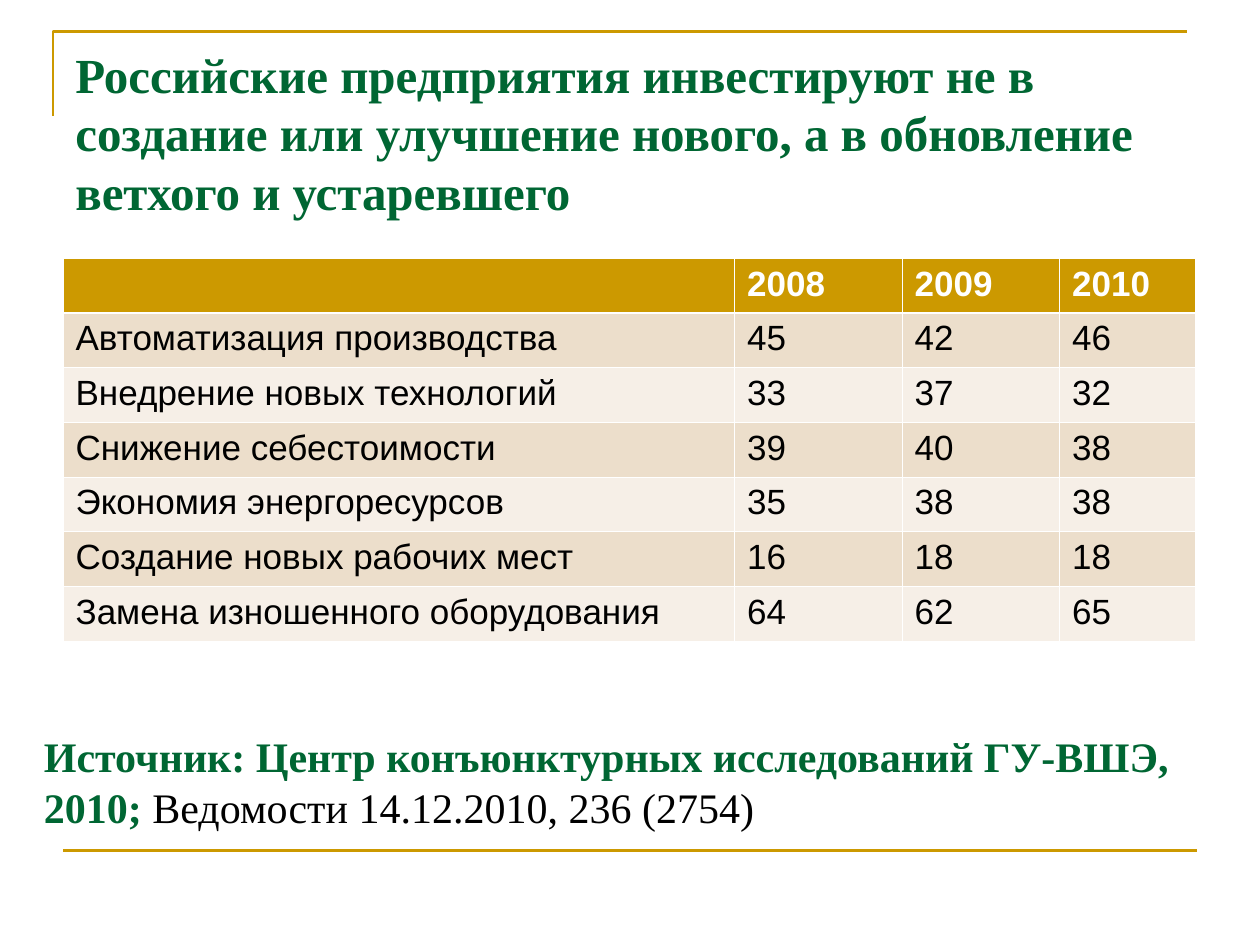
from lxml import etree
from pptx import Presentation
from pptx import util as u
from pptx.dml.color import RGBColor
from pptx.enum import shapes, text
from pptx.oxml.ns import qn

COLORS = {"gold": "CC9900", "green": "006633", "black": "000000",
          "white": "FFFFFF", "band": "ECDECB", "light": "F6EFE7"}
SERIF, SANS = "Times New Roman", "Arial"
WIDTH, HEIGHT = 10, 7.5
MARGIN = WIDTH / 20
BODY = WIDTH - 2 * MARGIN

TITLE = [("Российские предприятия инвестируют не в создание или улучшение "
          "нового, а в обновление ветхого и устаревшего", "green", True)]
SOURCE = [("Источник: Центр конъюнктурных исследований ГУ-ВШЭ, 2010; ", "green", True),
          ("Ведомости 14.12.2010, 236 (2754)", "black", False)]
ROWS = [
    ("", "2008", "2009", "2010"),
    ("Автоматизация производства", "45", "42", "46"),
    ("Внедрение новых технологий", "33", "37", "32"),
    ("Снижение себестоимости", "39", "40", "38"),
    ("Экономия энергоресурсов", "35", "38", "38"),
    ("Создание новых рабочих мест", "16", "18", "18"),
    ("Замена изношенного оборудования", "64", "62", "65"),
]
COLUMNS = (5.33, 1.33, 1.25, 1.08)
TABLE_TOP, TABLE_HEIGHT = 2.05, 3.03
THIN, THICK = 0.45, 1.47


def rgb(name):
    return RGBColor.from_string(COLORS[name])


def add_run(p, words, color, bold, face, size):
    r = p.add_run()
    r.text = words
    r.font.color.rgb = rgb(color)
    for name, value in {"name": face, "size": u.Pt(size), "bold": bold}.items():
        setattr(r.font, name, value)


def add_text(s, box, runs, size):
    tf = s.shapes.add_textbox(*map(u.Inches, box)).text_frame
    tf.word_wrap = True
    tf.vertical_anchor = text.MSO_ANCHOR.TOP
    for words, color, bold in runs:
        add_run(tf.paragraphs[0], words, color, bold, SERIF, size)


def style_line(line):
    line.color.rgb = rgb("gold")
    line.width = u.Pt(1.5)


def add_frame(s):
    """Corner rule above the title and straight rule at the foot."""
    left, top = 0.42, HEIGHT / 30
    builder = s.shapes.build_freeform(u.Inches(left), u.Inches(top + 0.67))
    builder.add_line_segments([(u.Inches(left), u.Inches(top)),
                               (u.Inches(left + BODY), u.Inches(top))], close=False)
    corner = builder.convert_to_shape()
    corner.fill.background()
    corner.shadow.inherit = False
    style_line(corner.line)

    foot = HEIGHT * 0.9
    rule = s.shapes.add_connector(
        shapes.MSO_CONNECTOR.STRAIGHT,
        *map(u.Inches, (MARGIN, foot, MARGIN + BODY, foot)))
    style_line(rule.line)
    etree.SubElement(rule._element.spPr, qn("a:effectLst"))


def set_borders(cell, widths):
    tc_pr = cell._tc.get_or_add_tcPr()
    for i, (side, width) in enumerate(widths.items()):
        ln = etree.Element(qn(f"a:ln{side}"), w=str(u.Pt(width)))
        fill = etree.SubElement(ln, qn("a:solidFill"))
        etree.SubElement(fill, qn("a:srgbClr"), val=COLORS["white"])
        tc_pr.insert(i, ln)


def add_data_table(s):
    box = (MARGIN, TABLE_TOP, BODY, TABLE_HEIGHT)
    table = s.shapes.add_table(len(ROWS), len(COLUMNS), *map(u.Inches, box)).table
    for column, width in zip(table.columns, COLUMNS):
        column.width = u.Inches(width)
    for i, row in enumerate(ROWS):
        header = i == 0
        fill = "gold" if header else ("light", "band")[i % 2]
        borders = {"L": THIN, "R": THIN, "T": THICK if i == 1 else THIN,
                   "B": THICK if header else THIN}
        for j, words in enumerate(row):
            cell = table.cell(i, j)
            cell.fill.solid()
            cell.fill.fore_color.rgb = rgb(fill)
            set_borders(cell, borders)
            if words:
                add_run(cell.text_frame.paragraphs[0], words,
                        "white" if header else "black", header, SANS, 20)


def main():
    prs = Presentation()
    prs.slide_width, prs.slide_height = u.Inches(WIDTH), u.Inches(HEIGHT)
    s = prs.slides.add_slide(prs.slide_layouts[6])
    add_frame(s)
    add_text(s, (MARGIN, 0.3, BODY, 1.25), TITLE, 28)
    add_data_table(s)
    add_text(s, (0.25, 5.75, 9.42, 1.25), SOURCE, 24)
    prs.save("out.pptx")


if __name__ == "__main__":
    main()
